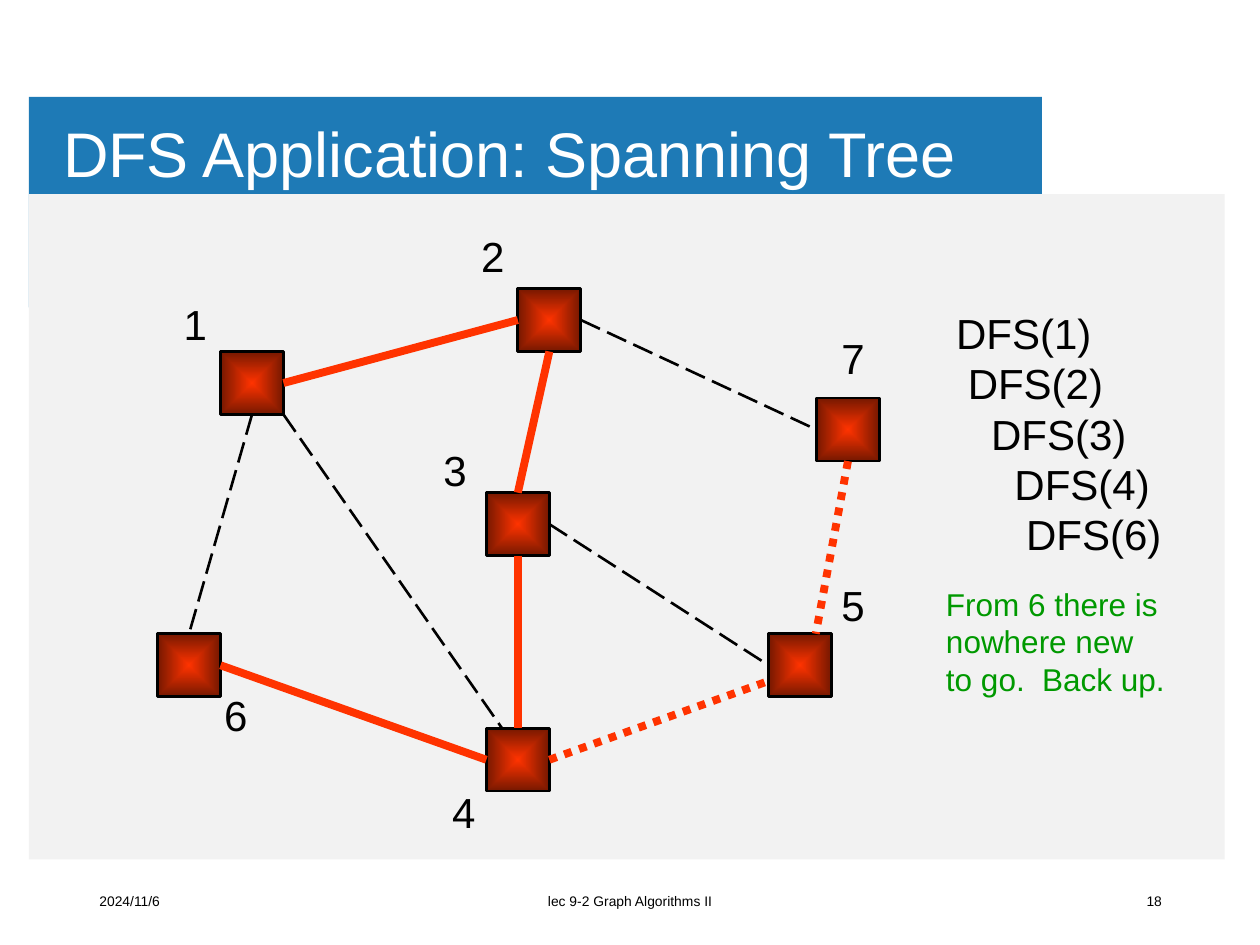
import pptx
import pptx.util
import pptx.dml.color
import pptx.enum.dml
import pptx.enum.shapes
import pptx.enum.text
import pptx.oxml
import pptx.oxml.ns
from lxml import etree

Inches, Pt = pptx.util.Inches, pptx.util.Pt
RGBColor = pptx.dml.color.RGBColor
DASH = pptx.enum.dml.MSO_LINE
SHAPE = pptx.enum.shapes.MSO_SHAPE
ALIGN = pptx.enum.text.PP_ALIGN
ANCHOR = pptx.enum.text.MSO_ANCHOR
AUTO = pptx.enum.text.MSO_AUTO_SIZE
qn = pptx.oxml.ns.qn

FONT = "Arial"
BLACK = RGBColor(0x00, 0x00, 0x00)
WHITE = RGBColor(0xFF, 0xFF, 0xFF)
BLUE = RGBColor(0x1E, 0x7A, 0xB6)
GREY = RGBColor(0xF2, 0xF2, 0xF2)
RED = RGBColor(0xFF, 0x33, 0x00)
DARK_RED = RGBColor(0x76, 0x18, 0x00)
GREEN = RGBColor(0x00, 0x99, 0x00)

W, H = 10, 7.5
NODE = 0.5
CALL_SIZE = 24
SPACE_WIDTH = 0.278 * CALL_SIZE

TITLE = "DFS Application: Spanning Tree"
BANDS = [(0.23, 0.77, 8.04, 1.67, BLUE), (0.23, 1.54, 9.49, 5.28, GREY)]
FOOTERS = [
    ("2024/11/6", 0.069, 0.225, ALIGN.LEFT),
    ("lec 9-2 Graph Algorithms II", 0.331, 0.338, ALIGN.CENTER),
    ("18", 0.707, 0.225, ALIGN.RIGHT),
]
NODES = {
    "1": (1.75, 2.79), "6": (1.25, 5.03), "4": (3.86, 5.78), "5": (6.1, 5.03),
    "3": (3.86, 3.91), "2": (4.11, 2.29), "7": (6.48, 3.16),
}
LABELS = {
    "1": (1.36, 2.32), "2": (3.72, 1.78), "7": (6.58, 2.59), "5": (6.58, 4.55),
    "4": (3.49, 6.19), "6": (1.68, 5.42), "3": (3.42, 3.48),
}
TREE = (RED, 4.5, None)
PENDING = (RED, 4.5, DASH.ROUND_DOT)
UNUSED = (BLACK, 1.5, DASH.LONG_DASH)
LEFT, RIGHT, TOP, BOTTOM = (0, 0.5), (1, 0.5), (0.5, 0), (0.5, 1)
EDGES = [
    ("1", RIGHT, "2", LEFT, TREE),
    ("2", BOTTOM, "3", TOP, TREE),
    ("2", RIGHT, "7", LEFT, UNUSED),
    ("3", RIGHT, "5", LEFT, UNUSED),
    ("7", BOTTOM, "5", (0.75, 0), PENDING),
    ("3", BOTTOM, "4", TOP, TREE),
    ("4", RIGHT, "5", (0, 0.75), PENDING),
    ("6", RIGHT, "4", LEFT, TREE),
    ("1", BOTTOM, "6", TOP, UNUSED),
    ("1", (1, 1), "4", (0.25, 0), UNUSED),
]
CALLS = [("DFS(1)", 0), ("DFS(2)", 1), ("DFS(3)", 3), ("DFS(4)", 5), ("DFS(6)", 6)]
REMARK = [("From 6 there is", 0), ("nowhere new", 0), ("to go.  Back up.", 0)]


def add_run(p, text, size, color):
    r = p.add_run()
    r.text = text
    r.font.name = FONT
    r.font.size = Pt(size)
    r.font.color.rgb = color


def add_text(s, box, lines, size, color=BLACK, align=ALIGN.LEFT, wrap=True):
    tf = s.shapes.add_textbox(*map(Inches, box)).text_frame
    tf.word_wrap = wrap
    for i, (text, indent) in enumerate(lines):
        p = tf.paragraphs[0] if i == 0 else tf.add_paragraph()
        p.alignment = align
        if indent:
            pPr = p._p.get_or_add_pPr()
            pPr.set("marL", str(int(Pt(indent * SPACE_WIDTH))))
            pPr.set("indent", "0")
        add_run(p, text, size, color)
    return tf


def add_rect(s, x, y, w, h):
    sp = s.shapes.add_shape(SHAPE.RECTANGLE, *map(Inches, (x, y, w, h)))
    sp.shadow.inherit = False
    return sp


def add_band(s, x, y, w, h, color):
    sp = add_rect(s, x, y, w, h)
    sp.fill.solid()
    sp.fill.fore_color.rgb = color
    sp.line.fill.background()


def add_node(s, x, y):
    sp = add_rect(s, x, y, NODE, NODE)
    sp.line.color.rgb = BLACK
    sp.line.width = Pt(1.5)
    sp.fill.gradient()
    for stop, color in zip(sp.fill.gradient_stops, (RED, DARK_RED)):
        stop.color.rgb = color
    grad = sp._element.spPr.find(qn("a:gradFill"))
    grad.remove(grad.find(qn("a:lin")))
    shade = etree.SubElement(grad, qn("a:path"), {"path": "shape"})
    etree.SubElement(shade, qn("a:fillToRect"), dict.fromkeys("ltrb", "50000"))


def node_point(name, share):
    return [Inches(at + NODE * part) for at, part in zip(NODES[name], share)]


def add_edge(s, start, start_share, end, end_share, style):
    color, width, dash = style
    line = s.shapes.add_connector(
        pptx.enum.shapes.MSO_CONNECTOR.STRAIGHT,
        *node_point(start, start_share), *node_point(end, end_share))
    line.line.color.rgb = color
    line.line.width = Pt(width)
    if dash:
        line.line.dash_style = dash
    etree.SubElement(line._element.spPr, qn("a:effectLst"))


def add_title(s):
    title = s.shapes.title
    s.shapes._spTree.append(title._element)
    title.left, title.top, title.width, title.height = map(Inches, (0.43, 0.76, 8.03, 0.98))
    tf = title.text_frame
    tf.auto_size = AUTO.NONE
    tf.vertical_anchor = ANCHOR.MIDDLE
    tf.margin_left = tf.margin_right = Inches(0.07)
    tf.margin_top = tf.margin_bottom = Inches(0.04)
    p = tf.paragraphs[0]
    p.alignment = ALIGN.LEFT
    p.line_spacing = 0.9
    add_run(p, TITLE, 36, WHITE)


def main():
    prs = pptx.Presentation()
    prs.slide_width, prs.slide_height = Inches(W), Inches(H)
    s = prs.slides.add_slide(prs.slide_layouts[5])
    for band in BANDS:
        add_band(s, *band)
    add_title(s)
    for text, x, w, align in FOOTERS:
        tf = add_text(s, (x * W, 6.95, w * W, 0.4), [(text, 0)], 7.9, align=align)
        tf.vertical_anchor = ANCHOR.MIDDLE
    for at in NODES.values():
        add_node(s, *at)
    for edge in EDGES:
        add_edge(s, *edge)
    for name, at in LABELS.items():
        tf = add_text(s, (*at, 0.68, 0.5), [(name, 0)], 24)
        tf.auto_size = AUTO.SHAPE_TO_FIT_TEXT
    for box, lines, size, color in [
        ((7.49, 2.39, 1.87, 2.12), CALLS, CALL_SIZE, BLACK),
        ((7.41, 4.59, 2, 1.01), REMARK, 18, GREEN),
    ]:
        tf = add_text(s, box, lines, size, color, wrap=False)
        tf.auto_size = AUTO.SHAPE_TO_FIT_TEXT
    prs.save("out.pptx")


if __name__ == "__main__":
    main()
